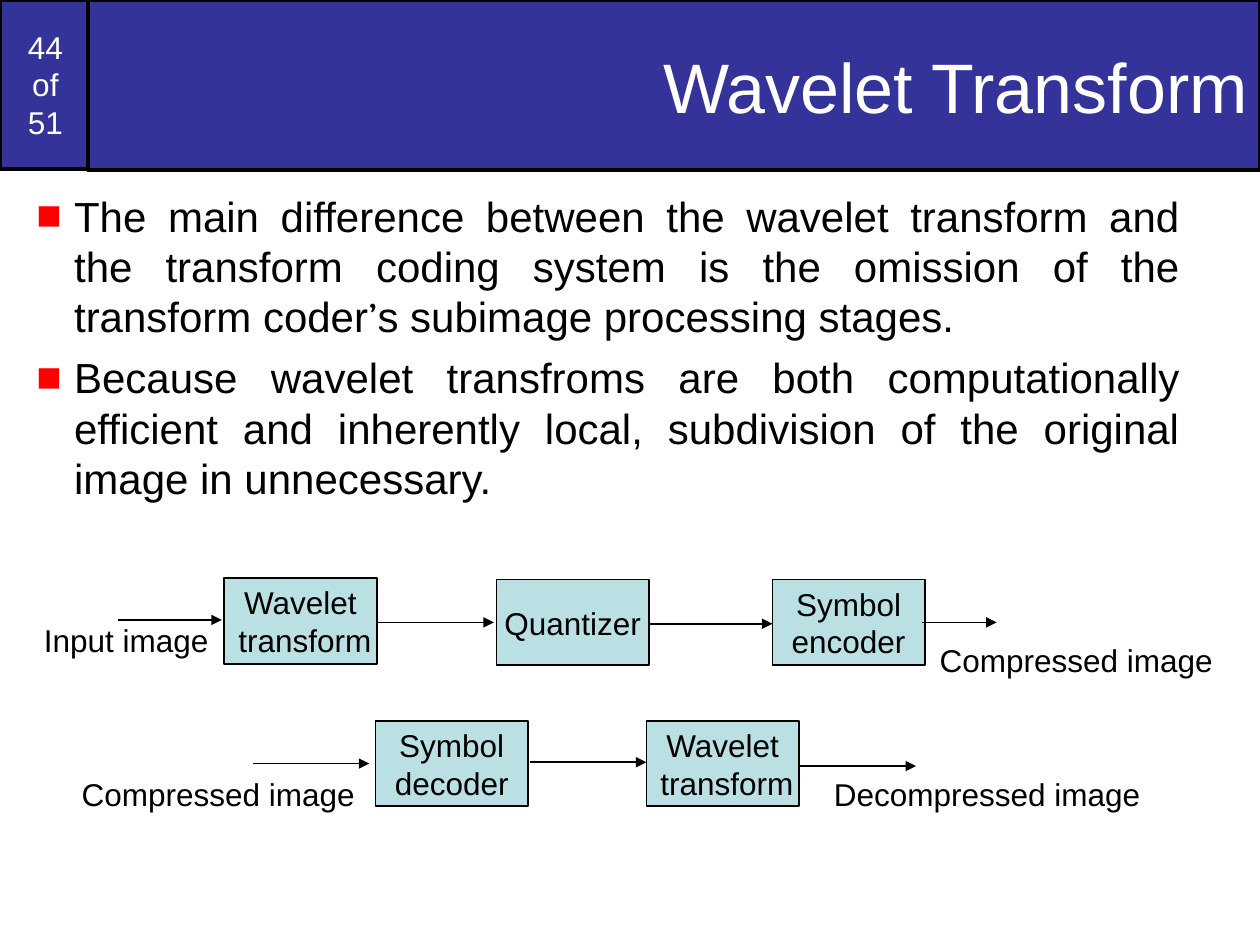
import pptx
import pptx.dml.color
import pptx.enum.shapes
import pptx.enum.text
import pptx.oxml
import pptx.oxml.ns
import pptx.util
from lxml import etree

Inches = pptx.util.Inches
Pt = pptx.util.Pt
RGBColor = pptx.dml.color.RGBColor
ALIGN = pptx.enum.text.PP_ALIGN
ANCHOR = pptx.enum.text.MSO_ANCHOR
RECTANGLE = pptx.enum.shapes.MSO_SHAPE.RECTANGLE
STRAIGHT = pptx.enum.shapes.MSO_CONNECTOR.STRAIGHT
qn = pptx.oxml.ns.qn

NAVY = RGBColor(0x33, 0x33, 0x99)
PALE_TEAL = RGBColor(0xBB, 0xE0, 0xE3)
BLACK = RGBColor(0, 0, 0)
WHITE = RGBColor(255, 255, 255)
RED = RGBColor(255, 0, 0)

STAGE_SIZE = (1.21, 0.68)
LABEL_HEIGHT = 0.4


def assign(target, values):
    """Set each named attribute of the target."""
    for name, value in values.items():
        setattr(target, name, value)


class SlideBuilder:
    """Holds the text style and the current slide."""

    font = "Arial"
    label_size = 18

    def __init__(self, deck):
        """Add a title-only slide to the deck."""
        self.page = deck.slides.add_slide(deck.slide_layouts[5])

    def span(self, para, text, size, color, font=None):
        """Add one formatted run to a paragraph."""
        span = para.add_run()
        span.text = text
        assign(span.font, {"size": Pt(size), "name": font or self.font, "bold": False})
        span.font.color.rgb = color

    def fill_text(self, box, text, size, color, align, wrap=False, anchor=ANCHOR.MIDDLE):
        """Fill a box with one paragraph per line of text."""
        frame = box.text_frame
        assign(frame, {"word_wrap": wrap, "vertical_anchor": anchor,
                       "auto_size": pptx.enum.text.MSO_AUTO_SIZE.NONE})
        for number, line in enumerate(text.split("\n")):
            para = frame.add_paragraph() if number else frame.paragraphs[0]
            para.alignment = align
            self.span(para, line, size, color)

    def paint(self, box, fill, width):
        """Give a box a plain fill and a black outline."""
        box.fill.solid()
        box.fill.fore_color.rgb = fill
        box.line.color.rgb = BLACK
        box.line.width = Pt(width)

    def block(self, left, top, width, height, text, fill, color, outline):
        """Add a filled rectangle with centred text."""
        box = self.page.shapes.add_shape(
            RECTANGLE, *map(Inches, (left, top, width, height)))
        box.shadow.inherit = False
        self.paint(box, fill, outline)
        self.fill_text(box, text, self.label_size, color, ALIGN.CENTER)

    def title(self, left, top, width, height, text):
        """Format the title placeholder as a banner and bring it forward."""
        box = self.page.shapes.title
        assign(box, {"left": Inches(left), "top": Inches(top),
                     "width": Inches(width), "height": Inches(height)})
        self.paint(box, NAVY, 2)
        self.fill_text(box, text, 40, WHITE, ALIGN.RIGHT, wrap=True)
        box.element.getparent().append(box.element)

    def bullets(self, left, top, width, height, items):
        """Add justified paragraphs with red square bullets."""
        box = self.page.shapes.add_textbox(*map(Inches, (left, top, width, height)))
        frame = box.text_frame
        frame.word_wrap = True
        for number, item in enumerate(items):
            para = frame.add_paragraph() if number else frame.paragraphs[0]
            assign(para, {"alignment": ALIGN.JUSTIFY, "space_before": Pt(6)})
            for text, font in item:
                self.span(para, text, 24, BLACK, font)
            props = para._p.get_or_add_pPr()
            props.set("marL", str(Inches(0.49)))
            props.set("indent", str(Inches(-0.3)))
            color = etree.SubElement(props, qn("a:buClr"))
            etree.SubElement(color, qn("a:srgbClr"), val=str(RED))
            etree.SubElement(props, qn("a:buFont"), typeface=self.font)
            etree.SubElement(props, qn("a:buChar"), char="\u25a0")

    def label(self, left, top, width, text):
        """Add a one-line caption."""
        box = self.page.shapes.add_textbox(
            *map(Inches, (left, top, width, LABEL_HEIGHT)))
        self.fill_text(box, text, self.label_size, BLACK, ALIGN.LEFT, anchor=ANCHOR.TOP)

    def arrow(self, start, end, height):
        """Add a level arrow pointing right."""
        line = self.page.shapes.add_connector(
            STRAIGHT, *map(Inches, (start, height, end, height)))
        line.line.color.rgb = BLACK
        line.line.width = Pt(1)
        outline = line._element.spPr.find(qn("a:ln"))
        etree.SubElement(outline, qn("a:tailEnd"), type="triangle")
        etree.SubElement(line._element.spPr, qn("a:effectLst"))


def main():
    """Build the wavelet transform slide."""
    deck = pptx.Presentation()
    assign(deck, {"slide_width": Inches(10), "slide_height": Inches(7.5)})
    slide = SlideBuilder(deck)

    slide.block(0, 0, 0.72, 1.34, "44\nof\n51", NAVY, WHITE, 2)
    slide.title(0.7, 0, 9.3, 1.35, "Wavelet Transform")
    slide.bullets(0, 1.46, 9.46, 6.04, [
        [("The main difference between the wavelet transform and the transform "
          "coding system is the omission of the transform coder", None),
         ("\u2019", "Cambria"),
         ("s subimage processing stages.", None)],
        [("Because wavelet transfroms are both computationally efficient and "
          "inherently local, subdivision of the original image in unnecessary.", None)],
    ])

    stages = [
        (1.78, 4.59, "Wavelet\n transform"),
        (3.94, 4.6, "Quantizer"),
        (6.13, 4.6, "Symbol\nencoder"),
        (2.98, 5.72, "Symbol\ndecoder"),
        (5.13, 5.72, "Wavelet\n transform"),
    ]
    for left, top, text in stages:
        slide.block(left, top, *STAGE_SIZE, text, PALE_TEAL, BLACK, 1)

    arrows = [
        (0.94, 1.76, 4.92), (3, 3.92, 4.94), (5.16, 6.13, 4.95), (7.32, 7.91, 4.94),
        (2.01, 2.93, 6.06), (4.21, 5.13, 6.05), (6.35, 7.27, 6.08),
    ]
    for start, end, height in arrows:
        slide.arrow(start, end, height)

    labels = [
        (0.25, 4.88, 1.5, "Input image"),
        (7.36, 5.04, 2.37, "Compressed image"),
        (0.55, 6.1, 2.37, "Compressed image"),
        (6.52, 6.1, 2.63, "Decompressed image"),
    ]
    for left, top, width, text in labels:
        slide.label(left, top, width, text)

    deck.save("out.pptx")


main()
